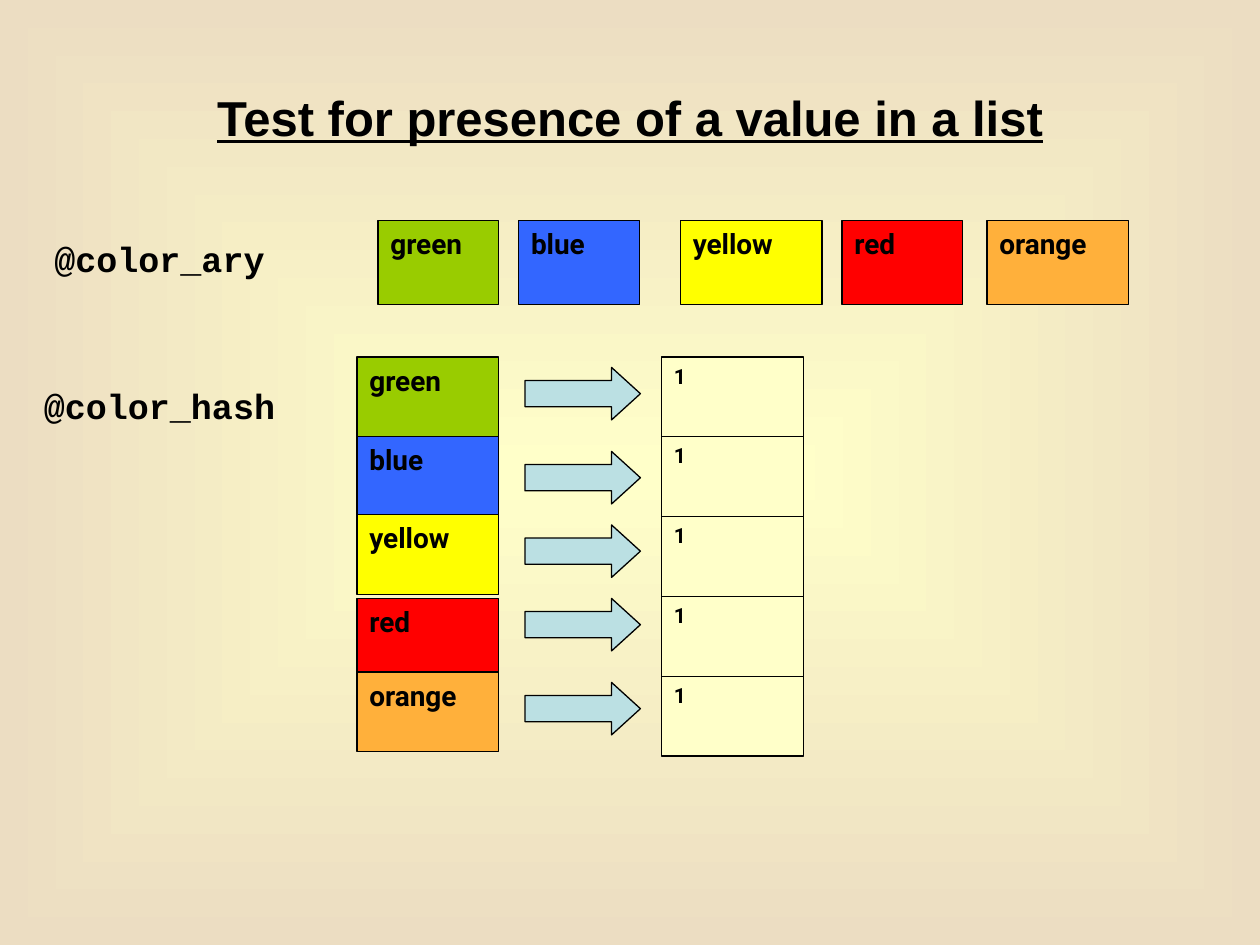
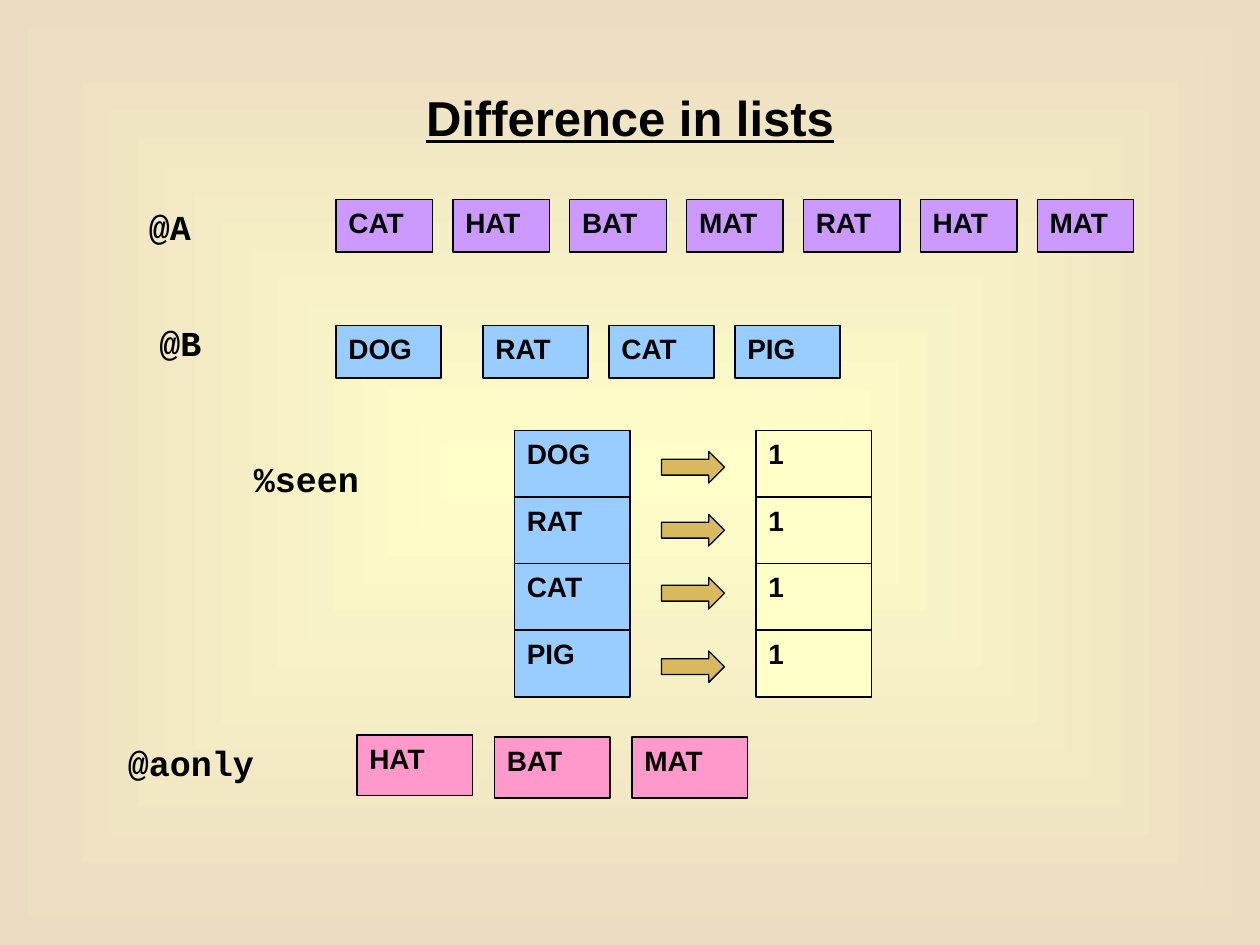
from lxml.etree import SubElement
from pptx import Presentation
from pptx.dml.color import RGBColor
from pptx.enum.shapes import MSO_SHAPE
from pptx.enum.text import MSO_ANCHOR, MSO_AUTO_SIZE, PP_ALIGN
from pptx.oxml.ns import qn
from pptx.util import Inches, Pt

COLORS = {
    "ink": "000000", "cream": "FFFFC9", "sand": "ECDDC2",
    "green": "99CC00", "blue": "3366FF", "yellow": "FFFF00",
    "red": "FF0000", "orange": "FFB03B", "teal arrow": "BBE0E3",
    "purple": "CC99FF", "sky": "99CCFF", "pink": "FF99CC", "gold arrow": "D9BA61",
}
RGB = {name: RGBColor.from_string(value) for name, value in COLORS.items()}

deck = Presentation()
deck.slide_width, deck.slide_height = Inches(10), Inches(7.5)
CELL = deck.slide_width / 120  # the slide is a grid of 120 columns by 90 rows


def write(frame, text, font, size, underline=None):
    """Put one bold run in the frame, with the margins all text shares."""
    frame.word_wrap = True
    frame.margin_left = frame.margin_right = Inches(0.1)
    frame.margin_top = frame.margin_bottom = Inches(0.05)
    span = frame.paragraphs[0].add_run()
    span.text = text
    span.font.name, span.font.size = font, Pt(size)
    span.font.bold, span.font.underline = True, underline
    span.font.color.rgb = RGB["ink"]


def add_box(shapes, grid, color, text="", font="Arial", size=16, kind=MSO_SHAPE.RECTANGLE):
    """Draw an outlined shape at grid = (column, row, columns wide, rows high)."""
    box = shapes.add_shape(kind, *[round(cells * CELL) for cells in grid])
    box.shadow.inherit = False
    box.fill.solid()
    box.fill.fore_color.rgb = RGB[color]
    box.line.color.rgb, box.line.width = RGB["ink"], Pt(0.75)
    if text:
        box.text_frame.vertical_anchor = MSO_ANCHOR.TOP
        box.text_frame.paragraphs[0].alignment = PP_ALIGN.LEFT
        write(box.text_frame, text, font, size)
    return box


# Shared background: a rectangular gradient from the centre outwards
master = deck.slide_master
background = master.background.fill
background.gradient()
for stop, color in zip(background.gradient_stops, ("cream", "sand")):
    stop.color.rgb = RGB[color]
gradient = master.element.find(".//" + qn("a:gradFill"))
gradient.remove(gradient.find(qn("a:lin")))
shade = SubElement(gradient, qn("a:path"), {"path": "rect"})
SubElement(shade, qn("a:fillToRect"), dict.fromkeys("ltrb", "50000"))

# Titles and variable names: (text, column, row, columns wide)
slides = [
    ("Test for presence of a value in a list",
     [("@color_ary", 4, 22, 25), ("@color_hash", 3, 36, 25)]),
    ("Difference in lists",
     [("@A", 13, 19, 11), ("@B", 14, 30, 11), ("%seen", 23, 43, 16), ("@aonly", 11, 70, 18)]),
]
pages = []
for heading, labels in slides:
    page = deck.slides.add_slide(deck.slide_layouts[5])
    pages.append(page)
    title = page.shapes.title
    title.left, title.top = Inches(0.5), Inches(0.3)
    title.width, title.height = Inches(9), Inches(1.25)
    title.text_frame.auto_size = MSO_AUTO_SIZE.NONE
    title.text_frame.vertical_anchor = MSO_ANCHOR.MIDDLE
    title.text_frame.paragraphs[0].alignment = PP_ALIGN.CENTER
    write(title.text_frame, heading, "Arial", 28, underline=True)
    for text, column, row, columns in labels:
        label = page.shapes.add_textbox(
            *[round(cells * CELL) for cells in (column, row, columns, 5.3)])
        write(label.text_frame, text, "Courier New", 20)
presence, difference = pages

# Slide 1: array of colours, then the hash with one key, arrow and value a row
# (colour, array column, array width, key row, arrow row)
color_rows = [
    ("green", 36, 11.5, 34, 35),
    ("blue", 49.4, 11.5, 41.6, 43),
    ("yellow", 64.8, 13.5, 49, 50),
    ("red", 80.2, 11.5, 57, 57),
    ("orange", 94, 13.5, 64, 65),
]
for index, (color, column, width, key_row, arrow_row) in enumerate(color_rows):
    add_box(presence.shapes, (column, 21, width, 8), color, color, "Roboto")
    add_box(presence.shapes, (34, key_row, 13.5, 7.6), color, color, "Roboto")
    arrow = add_box(presence.shapes, (50, arrow_row, 11, 5), "teal arrow",
                    kind=MSO_SHAPE.RIGHT_ARROW)
    arrow.adjustments[1] = 0.55
    add_box(presence.shapes, (63, 34 + 7.6 * index, 13.5, 7.6), "cream", "1", "Roboto", 12)

# Slide 2: the three lists, each a group of equal boxes
# (words, columns, rows, width, height, colour)
seen = ["DOG", "RAT", "CAT", "PIG"]
lists = [
    (["CAT", "HAT", "BAT", "MAT", "RAT", "HAT", "MAT"],
     [32 + 11.13 * step for step in range(7)], [19] * 7, 9.2, 5, "purple"),
    (seen, [32, 46, 58, 70], [31] * 4, 10, 5, "sky"),
    (["HAT", "BAT", "MAT"],
     [34 + 13.1 * step for step in range(3)], [70, 70.2, 70.2], 11, 5.8, "pink"),
]
for words, columns, rows, width, height, color in lists:
    group = difference.shapes.add_group_shape()
    for word, column, row in zip(words, columns, rows):
        add_box(group.shapes, (column, row, width, height), color, word)

# Slide 2: the hash of seen words
for index, (word, arrow_row) in enumerate(zip(seen, (43, 49, 55, 62))):
    row = 41 + 6.33 * index
    add_box(difference.shapes, (49, row, 11, 6.4), "sky", word)
    add_box(difference.shapes, (63, arrow_row, 6, 3), "gold arrow", kind=MSO_SHAPE.RIGHT_ARROW)
    add_box(difference.shapes, (72, row, 11, 6.4), "cream", "1")

deck.save("out.pptx")
